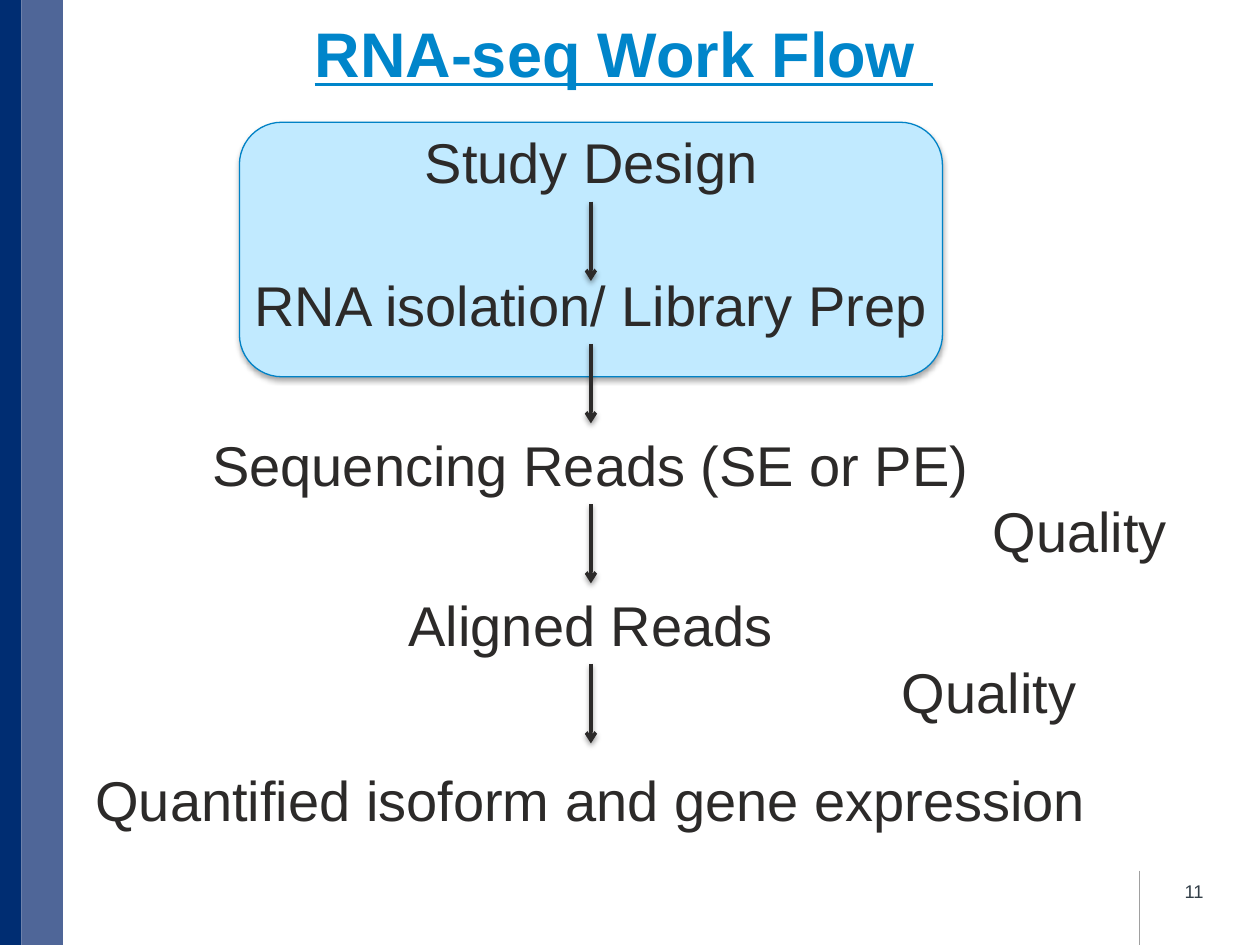
import pptx
import pptx.util
import pptx.dml.color
import pptx.enum.shapes
import pptx.enum.text
import pptx.oxml
import pptx.oxml.ns

PX = 9144  # EMU per px, 100 px to the inch
HUES = {
    "navy": "002D72", "slate": "4F6698", "title": "0085CA", "edge": "0082C6",
    "pale": "C1EAFF", "ink": "2C2A29", "page": "333F48", "rule": "A0A0A0",
    "shade": "000000",
}
KINDS = pptx.enum.shapes.MSO_SHAPE
ALIGN = pptx.enum.text.PP_ALIGN
ANCHOR = pptx.enum.text.MSO_ANCHOR
NS = pptx.oxml.ns.nsdecls("a")


def hue(name):
    return pptx.dml.color.RGBColor.from_string(HUES[name])


def node(xml):
    return pptx.oxml.parse_xml(xml)


class Deck:
    font = "Arial"
    size = 32

    def __init__(self, wide, high):
        self.prs = pptx.Presentation()
        self.prs.slide_width, self.prs.slide_height = wide * PX, high * PX
        self.slide = self.prs.slides.add_slide(self.prs.slide_layouts[6])

    def shade(self, item, alpha, dist):
        """Give the item a soft shadow straight below; alpha 0 means none."""
        props = item._element.spPr
        for old in props.findall(pptx.oxml.ns.qn("a:effectLst")):
            props.remove(old)
        drop = ""
        if alpha:
            drop = (f'<a:outerShdw blurRad="{int(3.1 * 12700)}" dist="{int(dist * 12700)}" '
                    f'dir="5400000" rotWithShape="0"><a:srgbClr val="{HUES["shade"]}">'
                    f'<a:alpha val="{alpha * 1000}"/></a:srgbClr></a:outerShdw>')
        props.append(node(f"<a:effectLst {NS}>{drop}</a:effectLst>"))

    def block(self, kind, x, y, w, h, fill, edge=None, alpha=0):
        item = self.slide.shapes.add_shape(kind, x * PX, y * PX, w * PX, h * PX)
        item.fill.solid()
        item.fill.fore_color.rgb = hue(fill)
        if edge:
            item.line.color.rgb = hue(edge)
            item.line.width = pptx.util.Pt(0.75)
        else:
            item.line.fill.background()
        self.shade(item, alpha, 1.8)

    def line(self, x, top, end, color, width, arrow=False):
        item = self.slide.shapes.add_connector(
            pptx.enum.shapes.MSO_CONNECTOR.STRAIGHT, x * PX, top * PX, x * PX, end * PX)
        item.line.color.rgb = hue(color)
        item.line.width = pptx.util.Pt(width)
        if arrow:
            item.line._get_or_add_ln().append(node(f'<a:tailEnd {NS} type="arrow"/>'))
        self.shade(item, 38 if arrow else 0, 1.6)

    def text(self, words, x, y, w, h, align=ALIGN.CENTER, anchor=ANCHOR.MIDDLE,
             size=None, color="ink", wrap=False, bold=False, left=10):
        box = self.slide.shapes.add_textbox(x * PX, y * PX, w * PX, h * PX)
        frame = box.text_frame
        frame.word_wrap = wrap
        frame.vertical_anchor = anchor
        frame.margin_left = left * PX
        para = frame.paragraphs[0]
        para.alignment = align
        run = para.add_run()
        run.text = words
        run.font.name = self.font
        run.font.size = pptx.util.Pt(size or self.size)
        run.font.color.rgb = hue(color)
        if bold:
            run.font.bold = run.font.underline = True


def main():
    deck = Deck(1000, 750)
    deck.line(904, 691, 750, "rule", 0.25)
    deck.block(KINDS.RECTANGLE, 0, 0, 17, 750, "navy")
    deck.block(KINDS.RECTANGLE, 17, 0, 33, 750, "slate")
    deck.text("11", 732, 687, 233, 40, ALIGN.RIGHT, size=10.5, color="page", wrap=True)
    deck.block(KINDS.ROUNDED_RECTANGLE, 190, 97, 558, 202, "pale", "edge", 35)
    deck.text("RNA-seq Work Flow ", 0, 11, 1000, 61, size=36, color="title",
              wrap=True, bold=True, left=0)

    axis, high, reach = 469, 64, 63
    steps = [
        ("Study Design", 96, 287),
        ("RNA isolation/ Library Prep", 209, 558),
        ("Sequencing Reads (SE or PE)", 336, 626),
        ("Aligned Reads", 463, 312),
        ("Quantified isoform and gene expression", 602, 812),
    ]
    for words, y, w in steps:
        deck.text(words, axis - w // 2, y, w, high)
    for _, y, _ in steps[:-1]:
        deck.line(axis, y + high, y + high + reach, "ink", 2, arrow=True)

    for x, y in ((778, 389), (706, 517)):
        deck.text("Quality", x, y, 160, high, ALIGN.LEFT, ANCHOR.TOP)
    deck.prs.save("out.pptx")


if __name__ == "__main__":
    main()
